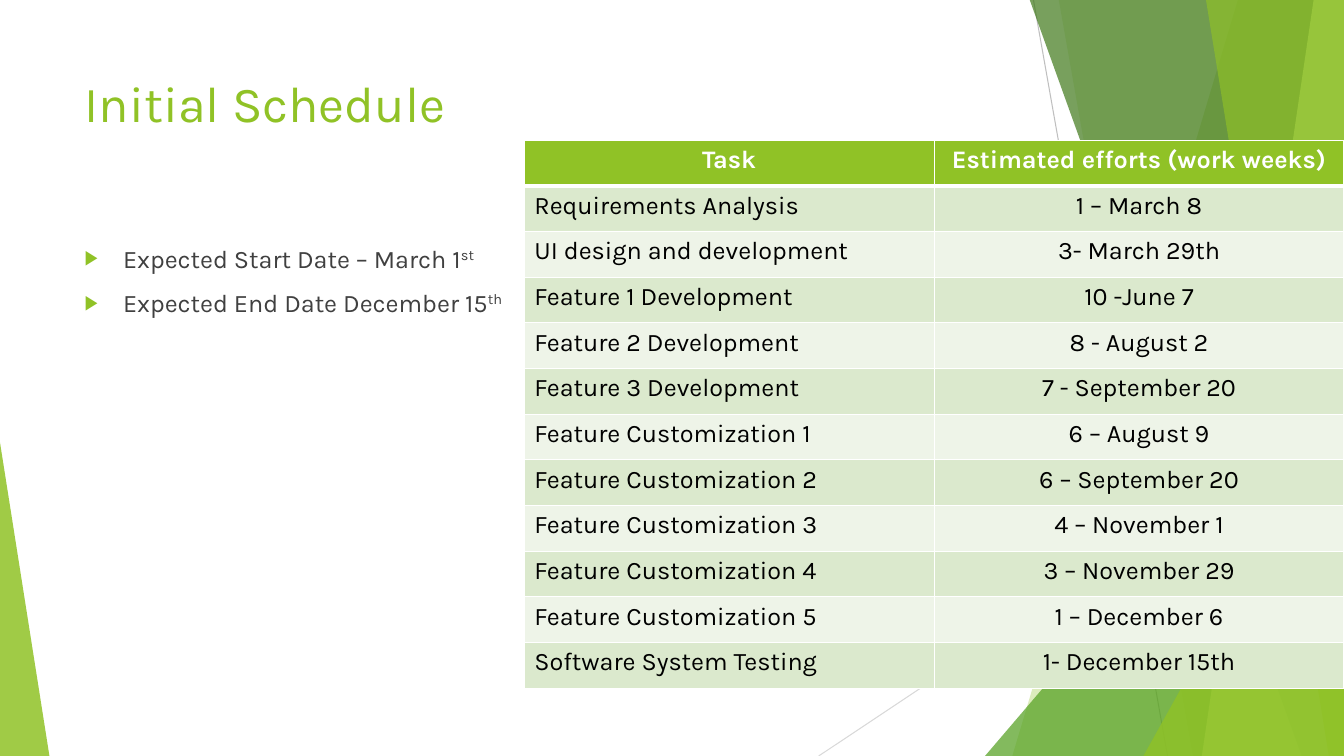
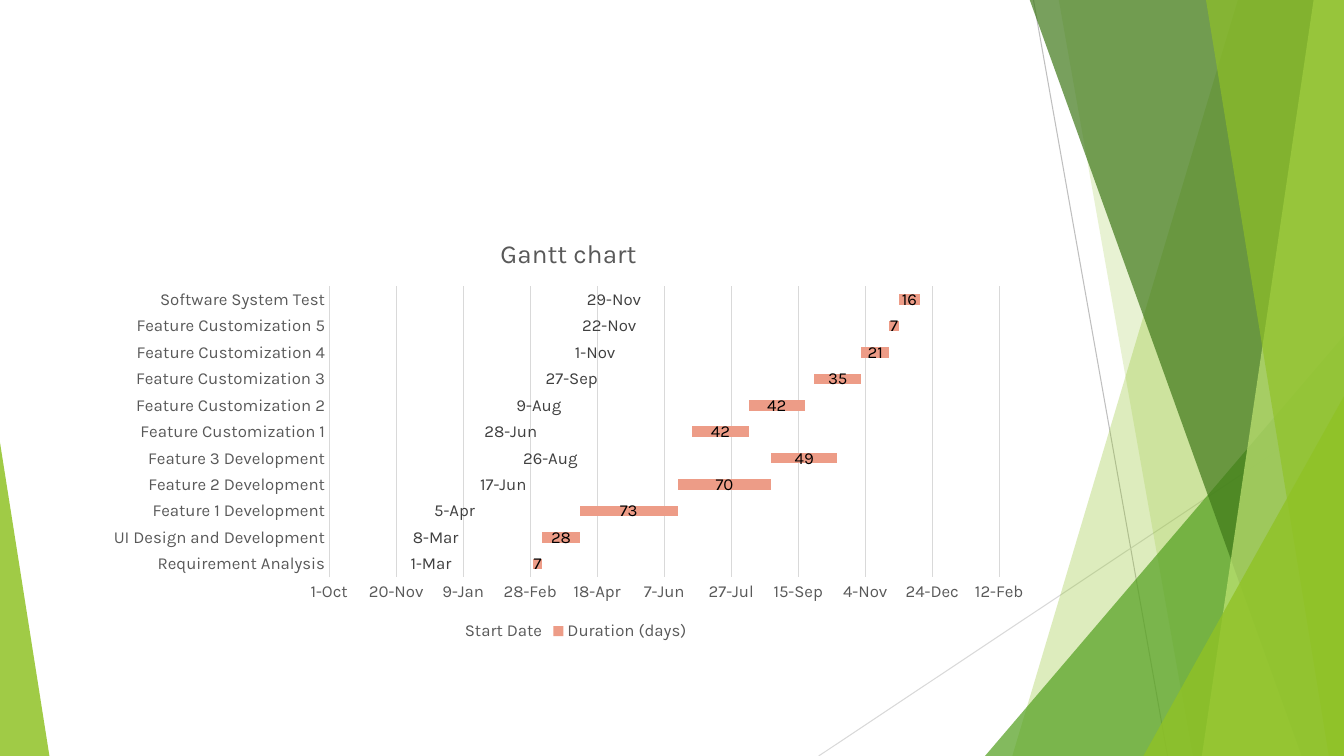
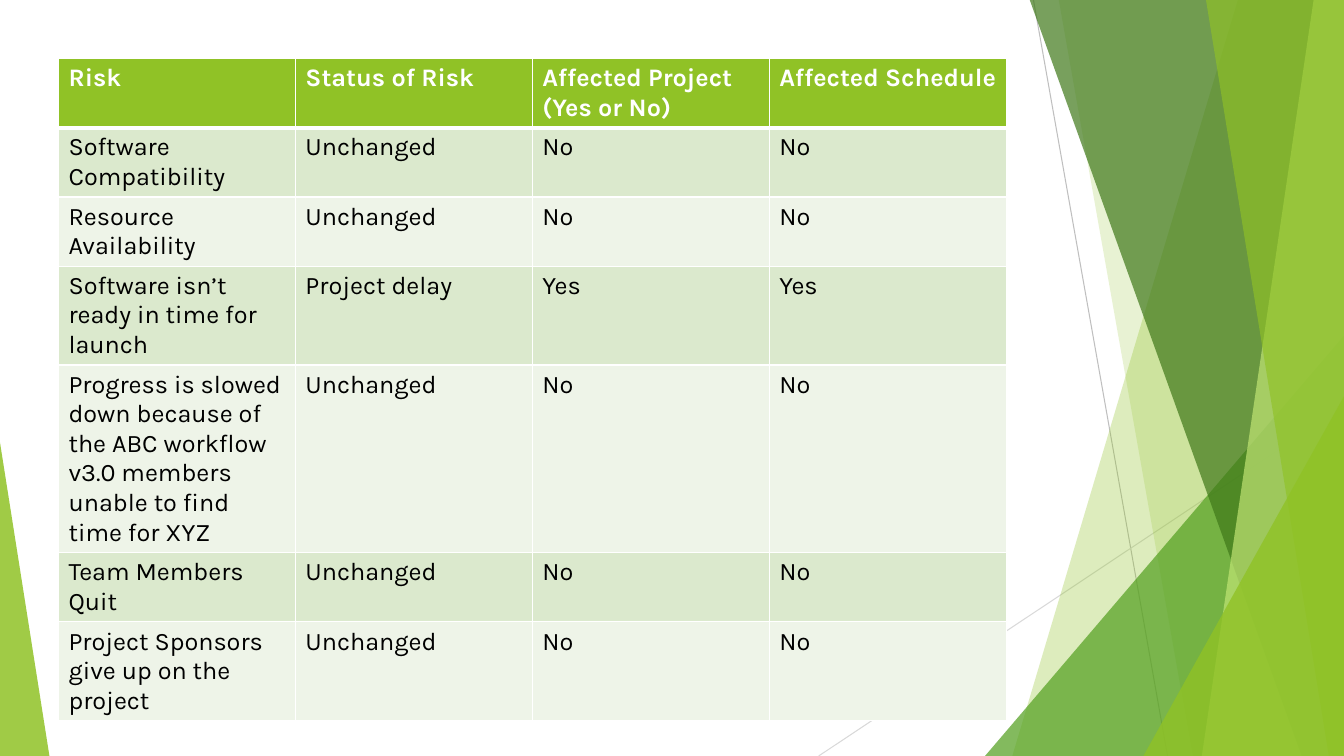
import pptx
import pptx.chart.data
import pptx.dml.color
import pptx.enum.chart
import pptx.enum.shapes
import pptx.enum.text
import pptx.oxml
import pptx.oxml.ns
import pptx.util

Inches, Pt = pptx.util.Inches, pptx.util.Pt
RGB = pptx.dml.color.RGBColor
ALIGN = pptx.enum.text.PP_ALIGN
TOP = pptx.enum.text.MSO_ANCHOR.TOP
qn = pptx.oxml.ns.qn

FONT = "Karla"
WIDE, HIGH = 13.33, 7.5
WHITE, BLACK = RGB(0xFF, 0xFF, 0xFF), RGB(0, 0, 0)
GREEN, LEAF = RGB(0x90, 0xC2, 0x26), RGB(0x54, 0xA0, 0x21)
FOREST, LIME = RGB(0x3F, 0x78, 0x19), RGB(0xC0, 0xE4, 0x74)
BANDS = RGB(0xDB, 0xE9, 0xCD), RGB(0xEE, 0xF4, 0xE8)
DARK, GREY = RGB(0x40, 0x40, 0x40), RGB(0x59, 0x59, 0x59)
SILVER, PALE = RGB(0xBF, 0xBF, 0xBF), RGB(0xD9, 0xD9, 0xD9)
CORAL = RGB(0xED, 0x9C, 0x87)

# Shared backdrop: lines, then facets from back to front
LINES = [
    ((10.25, 0), (11.58, HIGH), SILVER),
    ((WIDE, 4.03), (8.12, HIGH), PALE),
]
FACETS = [  # band: top left x, bottom left x; tri: left, top, width, apex
    ("band", (12.28, 10.04), GREEN, 30),
    ("band", (10.5, 11.83), GREEN, 20),
    ("tri", (9.77, 3.33, 3.56, 1), LEAF, 72),
    ("band", (10.21, 12.91), FOREST, 70),
    ("band", (13.03, 11.92), LIME, 70),
    ("band", (11.96, 13.18), GREEN, 65),
    ("tri", (11.34, 3.93, 1.99, 1), GREEN, 80),
    ("tri", (0, 4.39, 0.49, 0), GREEN, 85),
]

# Content
TITLE = "Initial Schedule"
DATES = [("Expected Start Date – March 1", "st"),
         ("Expected End Date December 15", "th")]
TASKS = [
    ("Task", "Estimated efforts (work weeks)"),
    ("Requirements Analysis", "1 – March 8"),
    ("UI design and development", "3- March 29th"),
    ("Feature 1 Development", "10 -June 7"),
    ("Feature 2 Development", "8 - August 2"),
    ("Feature 3 Development", "7 - September 20"),
    ("Feature Customization 1", "6 – August 9"),
    ("Feature Customization 2", "6 – September 20"),
    ("Feature Customization 3", "4 – November 1"),
    ("Feature Customization 4", "3 – November 29"),
    ("Feature Customization 5", "1 – December 6"),
    ("Software System Testing", "1- December 15th"),
]
GANTT = [  # task, start as a date serial, days
    ("Requirement Analysis", 45352, 7),
    ("UI Design and Development", 45359, 28),
    ("Feature 1 Development", 45387, 73),
    ("Feature 2 Development", 45460, 70),
    ("Feature 3 Development", 45530, 49),
    ("Feature Customization 1", 45471, 42),
    ("Feature Customization 2", 45513, 42),
    ("Feature Customization 3", 45562, 35),
    ("Feature Customization 4", 45597, 21),
    ("Feature Customization 5", 45618, 7),
    ("Software System Test", 45625, 16),
]
DAY = "d\\-mmm"
RISKS = [
    ("Risk", "Status of Risk", "Affected Project (Yes or No)",
     "Affected Schedule"),
    ("Software Compatibility", "Unchanged", "No", "No"),
    ("Resource Availability", "Unchanged", "No", "No"),
    ("Software isn’t ready in time for launch", "Project delay", "Yes", "Yes"),
    ("Progress is slowed down because of the ABC workflow v3.0 members "
     "unable to find time for XYZ", "Unchanged", "No", "No"),
    ("Team Members Quit", "Unchanged", "No", "No"),
    ("Project Sponsors give up on the project", "Unchanged", "No", "No"),
]


def style(font, size, color, bold=False):
    font.name, font.size, font.bold = FONT, Pt(size), bold
    font.color.rgb = color


def write(par, text, size=18, color=BLACK, bold=False, align=ALIGN.LEFT,
          base=0):
    run = par.add_run()
    run.text = text
    style(run.font, size, color, bold)
    par.alignment = align
    if base:
        run._r.get_or_add_rPr().set("baseline", str(base * 1000))


def place(shape, left, top, width, height):
    shape.left, shape.top = Inches(left), Inches(top)
    shape.width, shape.height = Inches(width), Inches(height)


def node(tag, **attrs):
    item = pptx.oxml.parse_xml(
        f'<a:{tag} xmlns:a="{pptx.oxml.ns.nsdecls("a").split(chr(34))[1]}"/>')
    for key, val in attrs.items():
        item.set(key, str(val))
    return item


def tint(color):
    fill = node("solidFill")
    fill.append(node("srgbClr", val=color))
    return fill


# Backdrop, drawn once and kept on the master
def facet(shapes, kind, dims, color, alpha):
    if kind == "band":
        top, foot = dims
        pen = shapes.build_freeform(Inches(top), Inches(-0.01))
        pen.add_line_segments([(Inches(x), Inches(y)) for x, y in (
            (WIDE, -0.01), (WIDE, HIGH), (foot, HIGH))])
        shape = pen.convert_to_shape()
    else:
        left, top, width, apex = dims
        shape = shapes.add_shape(
            pptx.enum.shapes.MSO_SHAPE.ISOSCELES_TRIANGLE, Inches(left),
            Inches(top), Inches(width), Inches(HIGH - top))
        shape.adjustments[0] = apex
    shape.shadow.inherit = False
    shape.fill.solid()
    shape.fill.fore_color.rgb = color
    shape.line.fill.background()
    tone = shape.element.spPr.find(qn("a:solidFill")).find(qn("a:srgbClr"))
    tone.append(node("alpha", val=alpha * 1000))
    return shape


def backdrop(slide, master):
    parts = []
    for (x1, y1), (x2, y2), color in LINES:
        line = slide.shapes.add_connector(
            pptx.enum.shapes.MSO_CONNECTOR.STRAIGHT,
            Inches(x1), Inches(y1), Inches(x2), Inches(y2))
        line.line.color.rgb = color
        line.line.width = Pt(0.75)
        line.element.spPr.append(node("effectLst"))
        parts.append(line)
    parts += [facet(slide.shapes, *item) for item in FACETS]
    tree = master.element.cSld.spTree
    for i, part in enumerate(parts):
        part.element.xpath(".//p:cNvPr")[0].set("id", str(100 + i))
        tree.insert(2 + i, part.element)


# Tables
def edge(cell, sides):
    props = cell._tc.get_or_add_tcPr()
    for side, width in sides.items():
        line = node("ln" + side, w=Pt(width))
        line.append(tint(WHITE))
        props.append(line)


def grid(slide, rows, left, top, width, tall, aligns):
    cols = len(rows[0])
    table = slide.shapes.add_table(
        len(rows), cols, Inches(left), Inches(top), Inches(width),
        Inches(tall * len(rows))).table
    for i, row in enumerate(rows):
        table.rows[i].height = Inches(tall)
        head = i == 0
        for j, text in enumerate(row):
            cell = table.cell(i, j)
            edge(cell, {"L": 1, "R": 1, "T": 3 if i == 1 else 1,
                        "B": 3 if head else 1})
            cell.fill.solid()
            cell.fill.fore_color.rgb = GREEN if head else BANDS[(i - 1) % 2]
            write(cell.text_frame.paragraphs[0], text, bold=head,
                  color=WHITE if head else BLACK,
                  align=aligns[0 if head else 1][j])


# Slide 1: schedule
def schedule(slide):
    title, body = slide.shapes.title, slide.placeholders[1]
    place(title, 0.74, 0.67, 9.4, 1.44)
    place(body, 0.74, 2.36, 9.4, 4.24)
    for shape in (title, body):
        shape.text_frame.vertical_anchor = TOP
        shape.text_frame.auto_size = pptx.enum.text.MSO_AUTO_SIZE.NONE
    write(title.text_frame.paragraphs[0], TITLE, size=36, color=GREEN)
    frame = body.text_frame
    for i, (text, mark) in enumerate(DATES):
        par = frame.add_paragraph() if i else frame.paragraphs[0]
        write(par, text, color=DARK)
        write(par, mark, color=DARK, base=30)
        par.space_before = Pt(10)
        props = par._p.get_or_add_pPr()
        props.set("marL", str(Inches(0.38)))
        props.set("indent", str(Inches(-0.38)))
        color = node("buClr")
        color.append(node("srgbClr", val=GREEN))
        for item in (color, node("buSzPct", val=80000),
                     node("buChar", char="▶")):
            props.append(item)
    mid = ALIGN.CENTER
    grid(slide, TASKS, 5.2, 1.39, 8.13, 5.44 / len(TASKS),
         ((mid, mid), (ALIGN.LEFT, mid)))


# Slide 2: Gantt chart
def gantt(slide):
    names, starts, days = zip(*GANTT)
    data = pptx.chart.data.CategoryChartData()
    data.categories = names
    data.add_series("Start Date", starts)
    data.add_series("Duration (days)", days)
    kinds = pptx.enum.chart
    chart = slide.shapes.add_chart(
        kinds.XL_CHART_TYPE.BAR_STACKED, Inches(0.94), Inches(2.16),
        Inches(9.4), Inches(4.24), data).chart
    style(chart.font, 10, BLACK)
    chart.has_title = True
    write(chart.chart_title.text_frame.paragraphs[0], "Gantt chart",
          size=18.6, color=GREY, align=ALIGN.CENTER)
    chart.chart_title.include_in_layout = False
    chart.has_legend = True
    chart.legend.position = kinds.XL_LEGEND_POSITION.BOTTOM
    chart.legend.include_in_layout = False
    style(chart.legend.font, 12, GREY)

    cat, val = chart.category_axis, chart.value_axis
    for axis in (cat, val):
        axis.major_tick_mark = axis.minor_tick_mark = kinds.XL_TICK_MARK.NONE
        style(axis.tick_labels.font, 12, GREY)
    val.minimum_scale, val.maximum_scale, val.major_unit = 45200, 45700, 50
    val.tick_labels.number_format = DAY
    val.tick_labels.number_format_is_linked = False
    val.format.line.fill.background()
    val.has_major_gridlines = True
    for line in (cat.format.line, val.major_gridlines.format.line):
        line.color.rgb = PALE
        line.width = Pt(0.75)

    plot = chart.plots[0]
    plot.gap_width, plot.overlap = 150, 100
    plot.vary_by_categories = False
    start, span = plot.series
    start.format.fill.background()
    span.format.fill.solid()
    span.format.fill.fore_color.rgb = CORAL
    for part, color, form in ((start, DARK, DAY), (span, BLACK, "General")):
        tags = part.data_labels
        tags.show_value = True
        tags.position = kinds.XL_LABEL_POSITION.CENTER
        tags.number_format = form
        tags.number_format_is_linked = False
        style(tags.font, 12, color)


# Slide 3: risks
def risks(slide):
    left = (ALIGN.LEFT,) * len(RISKS[0])
    grid(slide, RISKS, 0.58, 0.58, 9.4, 0.41, (left, left))


def main():
    deck = pptx.Presentation()
    deck.slide_width, deck.slide_height = Inches(WIDE), Inches(HIGH)
    for build, layout in ((schedule, 1), (gantt, 6), (risks, 6)):
        build(deck.slides.add_slide(deck.slide_layouts[layout]))
    backdrop(deck.slides[0], deck.slide_master)
    deck.save("out.pptx")


if __name__ == "__main__":
    main()
